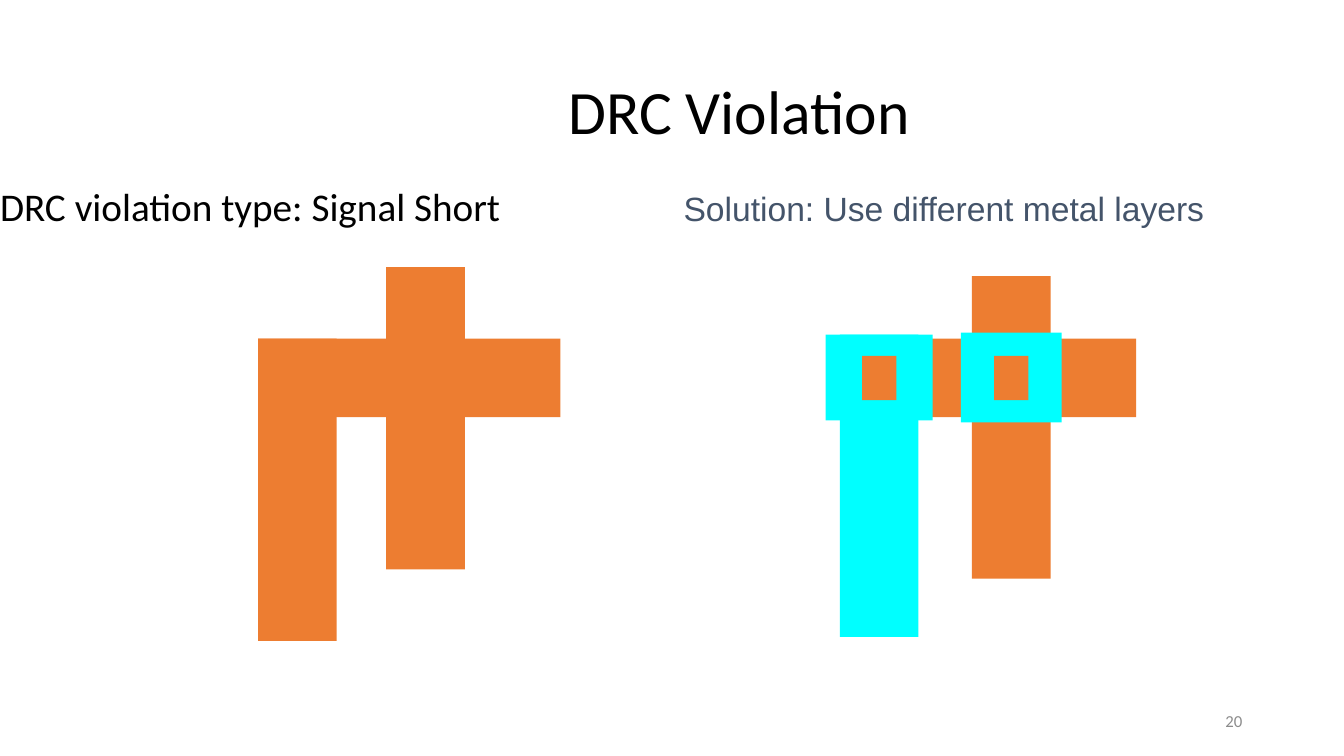
import pptx
import pptx.util
import pptx.dml.color
import pptx.enum.shapes
import pptx.enum.text
import pptx.oxml
import pptx.oxml.ns

Inches = pptx.util.Inches
ALIGN = pptx.enum.text.PP_ALIGN
ANCHOR = pptx.enum.text.MSO_ANCHOR

TITLE = "DRC Violation"
PROBLEM = "DRC violation type: Signal Short"
SOLUTION = "Solution: Use different metal layers"
PAGE_NUMBER = "20"

METAL_1, METAL_2 = "ED7D31", "00FFFF"
WIRE_WIDTH, WIRE_LENGTH = 0.78, 3
VERTICAL = (WIRE_WIDTH, WIRE_LENGTH)
HORIZONTAL = (WIRE_LENGTH, WIRE_WIDTH)
VIA = (0.34, 0.44)

# left, top, (width, height), colour; back to front
SHORTED_WIRES = [
    (2.56, 3.36, VERTICAL, METAL_1),
    (2.56, 3.36, HORIZONTAL, METAL_1),
    (3.83, 2.65, VERTICAL, METAL_1),
]
LAYERED_WIRES = [
    (9.64, 2.74, VERTICAL, METAL_1),
    (8.33, 3.32, VERTICAL, METAL_2),
    (8.27, 3.36, HORIZONTAL, METAL_1),
    (8.19, 3.32, (1.06, 0.85), METAL_2),
    (8.55, 3.53, VIA, METAL_1),
    (9.53, 3.3, (1, 0.89), METAL_2),
    (9.86, 3.53, VIA, METAL_1),
]


def color(value):
    return pptx.dml.color.RGBColor.from_string(value)


def write(sp, box, text, size, font, fill, align=ALIGN.LEFT, anchor=ANCHOR.TOP, spacing=1.0, inset=0):
    """Place a text shape and set its single paragraph."""
    sp.left, sp.top, sp.width, sp.height = map(Inches, box)
    tf = sp.text_frame
    tf.word_wrap = True
    tf.auto_size = pptx.enum.text.MSO_AUTO_SIZE.NONE
    tf.vertical_anchor = anchor
    tf.margin_left = tf.margin_right = Inches(inset)
    tf.margin_top = tf.margin_bottom = Inches(inset / 2)
    p = tf.paragraphs[0]
    p.text = text
    p.alignment, p.line_spacing, p.space_before = align, spacing, pptx.util.Pt(0)
    p.font.size, p.font.name = pptx.util.Pt(size), font
    p.font.color.rgb = color(fill)
    return p


def remove_bullet(p):
    pPr = p._p.get_or_add_pPr()
    pPr.set("marL", "0")
    pPr.set("indent", "0")
    bullet = pptx.oxml.parse_xml(f'<a:buNone {pptx.oxml.ns.nsdecls("a")}/>')
    pPr.find(pptx.oxml.ns.qn("a:defRPr")).addprevious(bullet)


def add_metal(s, left, top, size, fill):
    sp = s.shapes.add_shape(pptx.enum.shapes.MSO_SHAPE.RECTANGLE,
                            *map(Inches, (left, top, *size)))
    sp.shadow.inherit = False
    sp.fill.solid()
    sp.fill.fore_color.rgb = color(fill)
    sp.line.fill.background()


def add_text_box(s):
    return s.shapes.add_textbox(0, 0, 0, 0)


def main():
    prs = pptx.Presentation()
    prs.slide_width, prs.slide_height = Inches(13.33), Inches(7.5)
    s = prs.slides.add_slide(prs.slide_layouts[1])

    write(s.shapes.title, (1.33, 0.55, 12, 1.17), TITLE, 44, "Calibri", "000000",
          ALIGN.CENTER, ANCHOR.MIDDLE, spacing=0.9)
    p = write(s.placeholders[1], (0, 1.86, 5.22, 0.42), PROBLEM, 28, "Calibri", "000000",
              spacing=0.9)
    remove_bullet(p)
    for wire in SHORTED_WIRES:
        add_metal(s, *wire)

    write(add_text_box(s), (6.78, 1.86, 5.22, 0.42), SOLUTION, 24, "Arial", "44546A")
    for wire in LAYERED_WIRES:
        add_metal(s, *wire)

    write(add_text_box(s), (9.42, 6.95, 3, 0.4), PAGE_NUMBER, 12, "Calibri", "8C8C8C",
          ALIGN.RIGHT, ANCHOR.MIDDLE, inset=0.1)
    prs.save("out.pptx")


if __name__ == "__main__":
    main()
